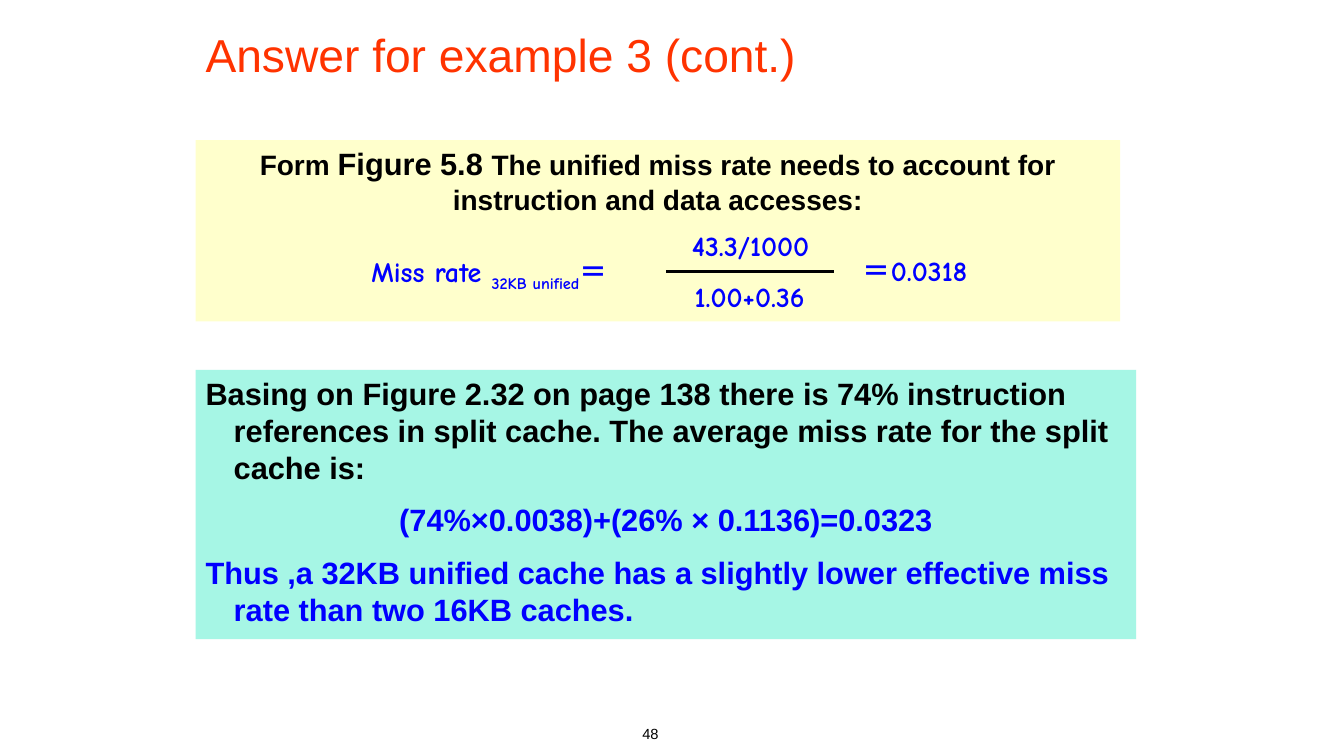
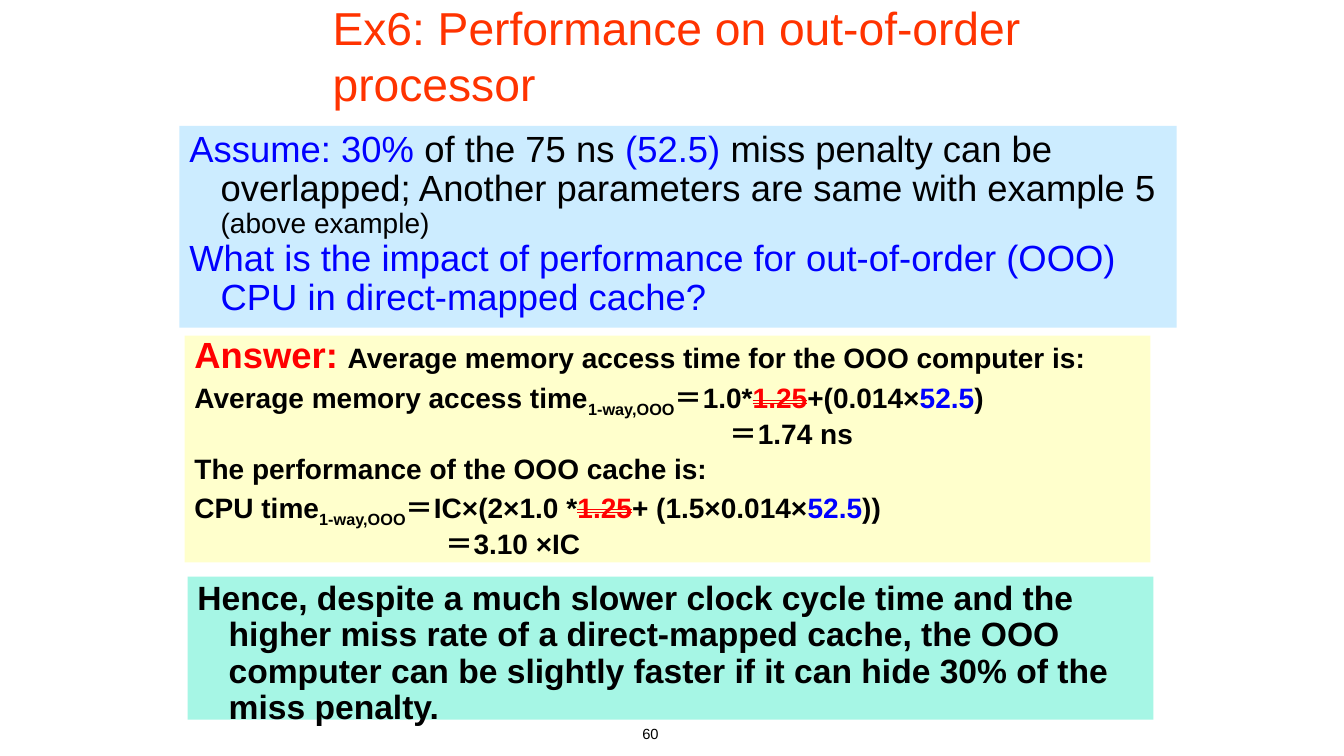
import pptx
import pptx.dml.color
import pptx.enum.shapes
import pptx.enum.text
import pptx.oxml.ns
import pptx.util
from dataclasses import dataclass

EMU_PER_PX = 9144  # 100 px to the inch
ALIGN = pptx.enum.text.PP_ALIGN
ANCHOR = pptx.enum.text.MSO_ANCHOR


@dataclass(frozen=True)
class Theme:
    # Colours
    title: str = "FF3300"
    ink: str = "000000"
    blue: str = "0000FF"
    red: str = "FF0000"
    white: str = "FFFFFF"
    yellow: str = "FFFFCC"
    mint: str = "A6F6E5"
    sky: str = "CCECFF"
    # Fonts
    font: str = "Arial"
    formula_font: str = "Comic Neue"
    # Type sizes
    title_size: float = 33
    lead_size: float = 26
    strong_size: float = 24
    body_size: float = 22
    detail_size: float = 20
    number_size: float = 10.5


THEME = Theme()


def px(length):
    return pptx.util.Emu(length * EMU_PER_PX)


def rgb(value):
    return pptx.dml.color.RGBColor.from_string(value)


def add_run(paragraph, text, size=THEME.detail_size, color=THEME.ink, font=THEME.font,
            bold=False, subscript=False, strike=False):
    run = paragraph.add_run()
    run.text = text
    run.font.name = font
    run.font.size = pptx.util.Pt(size)
    run.font.bold = bold
    run.font.color.rgb = rgb(color)
    properties = run.font._element
    if subscript:
        properties.set("baseline", "-25000")
    if strike:
        properties.set("strike", "dblStrike")


class Deck:
    """Holds the style and the current slide."""

    def __init__(self, theme):
        self.theme = theme
        self.presentation = pptx.Presentation()
        self.presentation.slide_width = px(1333)
        self.presentation.slide_height = px(750)
        self.slide = None

    def new_slide(self, number):
        self.slide = self.presentation.slides.add_slide(self.presentation.slide_layouts[6])
        frame = self.text_box(385, 714, 278, 50)
        self.paragraph(frame, str(number), align=ALIGN.RIGHT, size=self.theme.number_size)

    def text_box(self, left, top, width, height, wrap=True):
        box = self.slide.shapes.add_textbox(px(left), px(top), px(width), px(height))
        box.text_frame.word_wrap = wrap
        return box.text_frame

    def panel(self, left, top, width, height, fill, anchor=ANCHOR.TOP):
        shape = self.slide.shapes.add_shape(
            pptx.enum.shapes.MSO_SHAPE.RECTANGLE, px(left), px(top), px(width), px(height))
        shape.shadow.inherit = False
        shape.fill.solid()
        shape.fill.fore_color.rgb = rgb(fill)
        shape.line.fill.background()
        frame = shape.text_frame
        frame.word_wrap = True
        frame.vertical_anchor = anchor
        return frame

    def title(self, text, left, top, width, height):
        frame = self.panel(left, top, width, height, self.theme.white, ANCHOR.MIDDLE)
        self.paragraph(frame, text, size=self.theme.title_size, color=self.theme.title)

    def paragraph(self, frame, *pieces, align=ALIGN.LEFT, margin=0, hanging=0,
                  before=0, spacing=1.0, **style):
        """Add a paragraph; a piece is a text, or a text with its own format."""
        first = frame.paragraphs[0]
        paragraph = frame.add_paragraph() if first.runs else first
        paragraph.alignment = align
        paragraph.space_before = pptx.util.Pt(before)
        paragraph.line_spacing = spacing
        properties = paragraph._p.get_or_add_pPr()
        properties.set("marL", str(px(margin)))
        properties.set("indent", str(px(-hanging)))
        for piece in pieces:
            text, changes = (piece, {}) if isinstance(piece, str) else piece
            add_run(paragraph, text, **{**style, **changes})

    def formula(self, left, top, width, *pieces):
        frame = self.text_box(left, top, width, 43, wrap=False)
        self.paragraph(frame, *pieces, align=ALIGN.CENTER, bold=True,
                       font=self.theme.formula_font, color=self.theme.blue)

    def rule(self, left, top, right):
        line = self.slide.shapes.add_connector(
            pptx.enum.shapes.MSO_CONNECTOR.STRAIGHT, px(left), px(top), px(right), px(top))
        line.line.color.rgb = rgb(self.theme.ink)
        line.line.width = pptx.util.Pt(2.25)
        effects = line._element.spPr.makeelement(pptx.oxml.ns.qn("a:effectLst"), {})
        line._element.spPr.append(effects)


def build_miss_rate(deck):
    theme = deck.theme
    deck.new_slide(48)
    deck.title("Answer for example 3 (cont.)", 194, 0, 1103, 107)

    # Split cache
    frame = deck.panel(194, 367, 933, 267, theme.mint)
    body = dict(margin=28, hanging=28, size=theme.body_size, bold=True)
    deck.paragraph(frame, "Basing on Figure 2.32 on page 138 there is 74% instruction references "
                   "in split cache. The average miss rate for the split cache is:", **body)
    body.update(before=11, color=theme.blue)
    deck.paragraph(frame, "(74%×0.0038)+(26% × 0.1136)=0.0323", align=ALIGN.CENTER, **body)
    deck.paragraph(frame, "Thus ,a 32KB unified cache has a slightly lower effective miss rate "
                   "than two 16KB caches.", **body)

    # Unified cache
    frame = deck.panel(194, 139, 917, 180, theme.yellow)
    deck.paragraph(frame, "Form ", ("Figure 5.8 ", dict(size=theme.body_size)),
                   "The unified miss rate needs to account for instruction and data accesses:",
                   align=ALIGN.CENTER, bold=True)
    deck.formula(333, 248, 305, "Miss rate ", ("32KB unified", dict(subscript=True)), "＝")
    deck.formula(662, 222, 165, "43.3/1000")
    deck.formula(662, 272, 163, "1.00+0.36")
    deck.rule(661, 269, 827)
    deck.formula(835, 247, 145, "＝0.0318")


def build_out_of_order(deck):
    theme = deck.theme
    blue = dict(color=theme.blue)
    struck = dict(color=theme.red, strike=True)
    subscript = dict(subscript=True)
    indent = dict(margin=31, hanging=31)
    deck.new_slide(60)
    deck.title("Ex6: Performance on out-of-order processor", 320, 13, 821, 83)

    # Question
    frame = deck.panel(178, 125, 989, 200, theme.sky)
    question = dict(indent, spacing=0.9, size=theme.lead_size)
    deck.paragraph(frame, ("Assume: 30%", blue), " of the 75 ns ", ("(52.5)", blue),
                   " miss penalty can be overlapped; Another parameters are same with example 5 ",
                   ("(above example)", dict(size=theme.detail_size)), **question)
    deck.paragraph(frame, "What is the impact of performance for out-of-order (OOO) "
                   "CPU in direct-mapped cache?", **question, **blue)

    # Answer
    frame = deck.panel(183, 333, 958, 225, theme.yellow)
    answer = dict(spacing=0.8, bold=True)
    step = dict(answer, before=6)
    deck.paragraph(frame, ("Answer:", dict(size=theme.lead_size, color=theme.red)),
                   (" ", dict(size=theme.strong_size)),
                   "Average memory access time for the OOO computer is:", **indent, **answer)
    deck.paragraph(frame, "Average memory access time", ("1-way,OOO", subscript), "＝1.0*",
                   ("1.25", struck), "+(0.014×", ("52.5", blue), ")", **indent, **step)
    deck.paragraph(frame, "＝1.74 ns", margin=531, **step)
    deck.paragraph(frame, "The performance of the OOO cache is:", **indent, **step)
    deck.paragraph(frame, "CPU time", ("1-way,OOO", subscript), "＝IC×(2×1.0 *",
                   ("1.25", struck), "+ (1.5×0.014×", ("52.5", blue), "))", **indent, **step)
    deck.paragraph(frame, "＝3.10 ×IC", margin=249, **step)

    # Conclusion
    frame = deck.panel(186, 572, 958, 142, theme.mint)
    deck.paragraph(frame, "Hence, despite a much slower clock cycle time and the higher miss rate "
                   "of a direct-mapped cache, the OOO computer can be slightly faster if it can "
                   "hide 30% of the miss penalty.",
                   **indent, spacing=0.9, size=theme.strong_size, bold=True)


def main():
    deck = Deck(THEME)
    build_miss_rate(deck)
    build_out_of_order(deck)
    deck.presentation.save("out.pptx")


if __name__ == "__main__":
    main()
